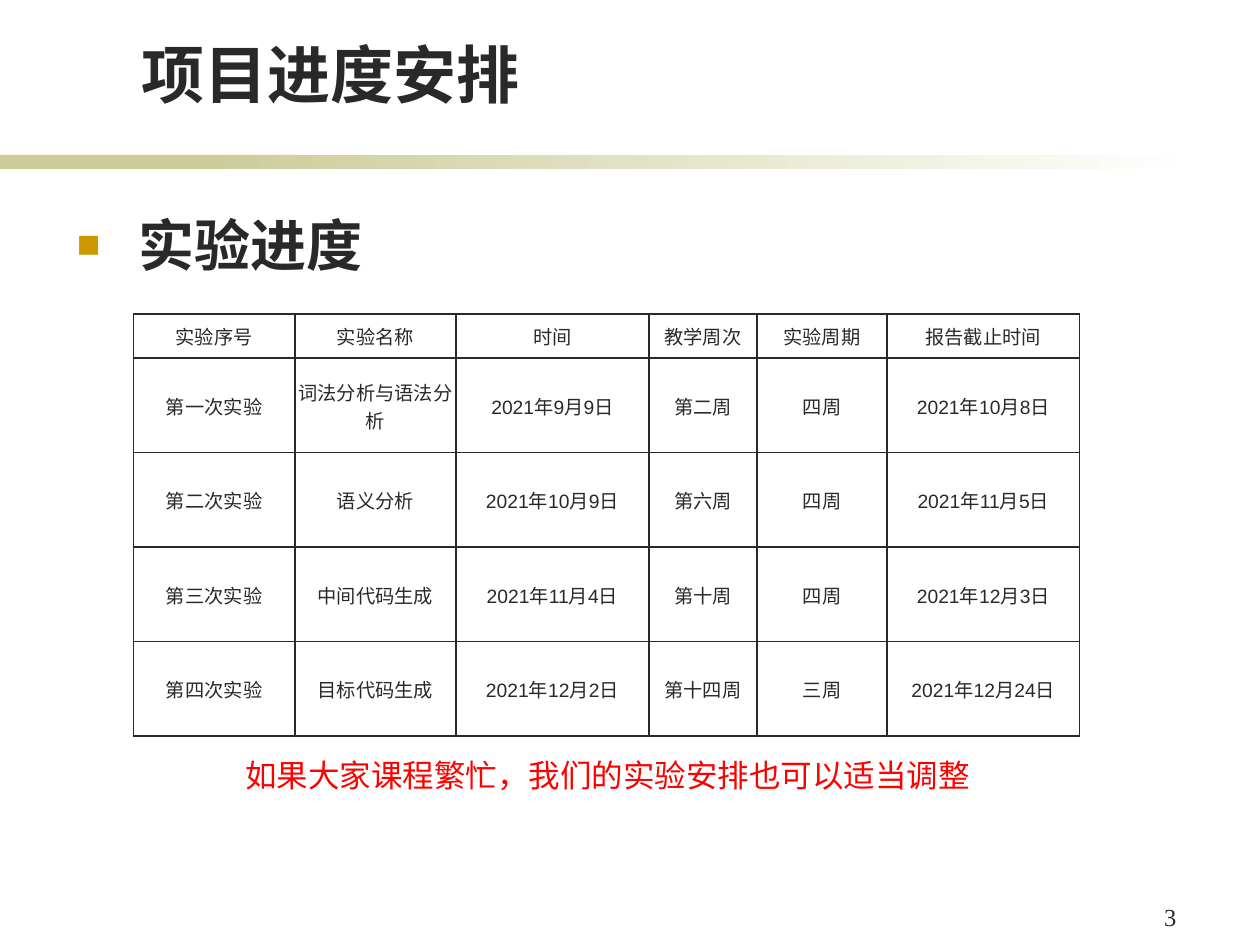
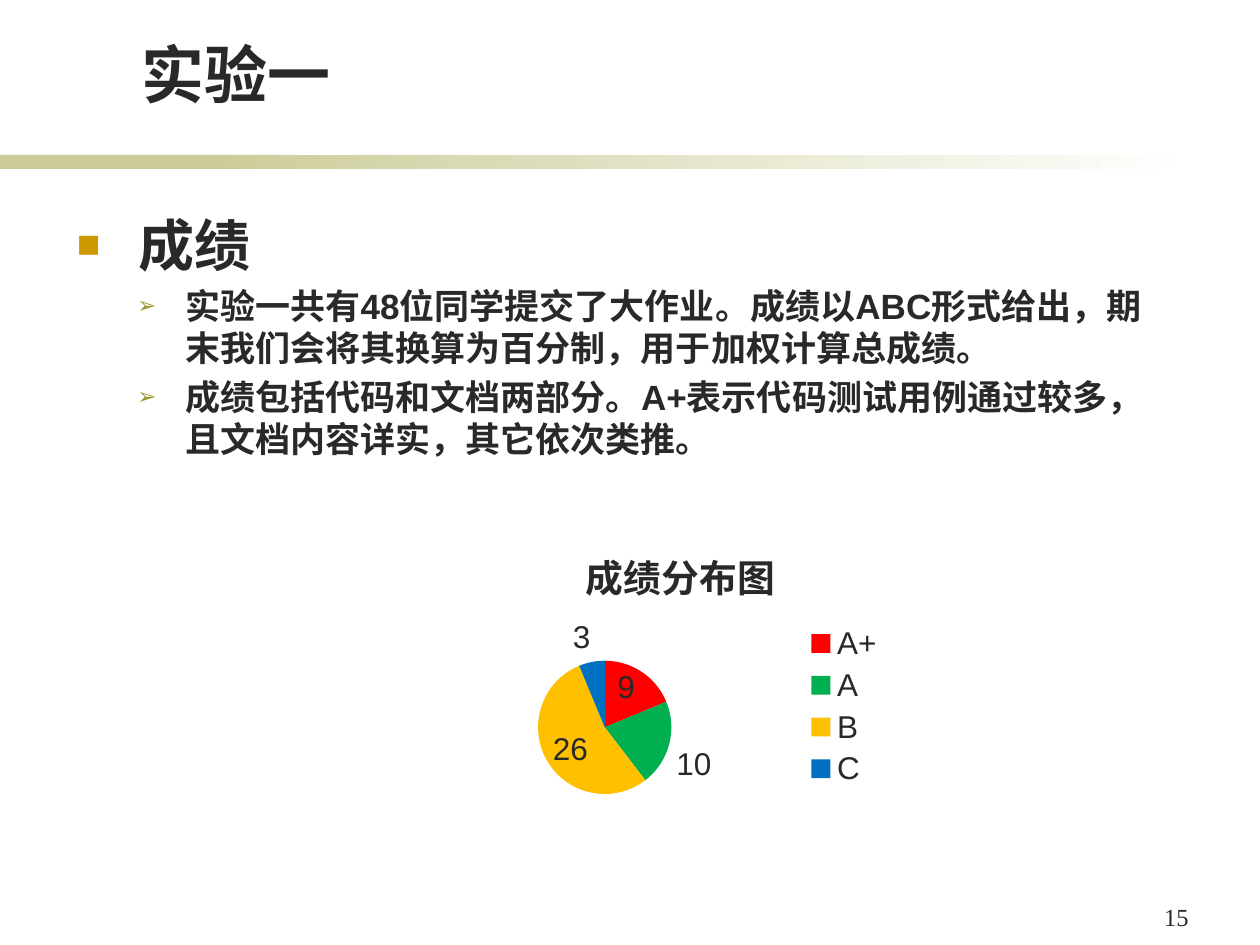
from dataclasses import dataclass
from lxml.etree import SubElement
from pptx import Presentation
from pptx.chart.data import CategoryChartData
from pptx.dml.color import RGBColor
from pptx.enum.chart import XL_CHART_TYPE as ChartType, XL_LABEL_POSITION as LabelPosition
from pptx.enum.chart import XL_LEGEND_POSITION as LegendPosition
from pptx.enum.shapes import MSO_SHAPE as Preset
from pptx.enum.text import MSO_ANCHOR as Anchor, MSO_AUTO_SIZE as AutoSize, PP_ALIGN as Align
from pptx.oxml import parse_xml
from pptx.oxml.ns import nsdecls, qn
from pptx.util import Inches, Pt


@dataclass(frozen=True)
class Theme:
    ink: str = "292929"
    band: str = "CCCC99"
    paper: str = "FFFFFF"
    square: str = "CC9900"
    arrow: str = "999933"
    alert: str = "FF0000"
    grades: tuple = ("FF0000", "00B050", "FFC000", "0070C0")
    font: str = "Arial"
    number_font: str = "Times New Roman"
    title_size: float = 36
    heading_size: float = 32
    point_size: float = 20
    note_size: float = 18
    number_size: float = 14
    table_size: float = 11
    chart_size: float = 18
    chart_title_size: float = 21.6


theme = Theme()


def add_run(para, words, size, color=theme.ink, bold=False, font=theme.font):
    span = para.add_run()
    span.text = words
    span.font.name = font
    span.font.size = Pt(size)
    span.font.bold = bold
    span.font.color.rgb = RGBColor.from_string(color)


def place(element, index, **fractions):
    for old in element.findall(qn("c:layout")):
        element.remove(old)
    layout = parse_xml(f"<c:layout {nsdecls('c')}/>")
    manual = SubElement(layout, qn("c:manualLayout"))
    if "w" in fractions:
        SubElement(manual, qn("c:layoutTarget")).set("val", "inner")
    for axis in "xy":
        SubElement(manual, qn(f"c:{axis}Mode")).set("val", "edge")
    for key, value in fractions.items():
        SubElement(manual, qn(f"c:{key}")).set("val", str(value))
    element.insert(index, layout)


deck = Presentation()
deck.slide_width, deck.slide_height = Inches(10), Inches(7.5)

bullets = [
    (0.49, -0.49, "■", theme.square, 70, theme.heading_size),
    (0.86, -0.38, "➢", theme.arrow, 65, theme.point_size),
]
pages = [
    ("项目进度安排", "3", 4.8, [(0, "实验进度")]),
    ("实验一", "15", 5.06, [
        (0, "成绩"),
        (1, "实验一共有48位同学提交了大作业。成绩以ABC形式给出，期末我们会将其换算为百分制，用于加权计算总成绩。"),
        (1, "成绩包括代码和文档两部分。A+表示代码测试用例通过较多，且文档内容详实，其它依次类推。"),
    ]),
]

for title_words, number, body_height, points in pages:
    page = deck.slides.add_slide(deck.slide_layouts[1])

    for left, width, fades in ((0, 2.33, False), (1.58, 7.92, True)):
        band = page.shapes.add_shape(
            Preset.RECTANGLE, Inches(left), Inches(1.23), Inches(width), Inches(0.11))
        band.shadow.inherit = False
        band.line.fill.background()
        if fades:
            band.fill.gradient()
            band.fill.gradient_angle = 0
            for stop, color in zip(band.fill.gradient_stops, (theme.band, theme.paper)):
                stop.color.rgb = RGBColor.from_string(color)
        else:
            band.fill.solid()
            band.fill.fore_color.rgb = RGBColor.from_string(theme.band)

    title = page.shapes.title
    title.left, title.top, title.width, title.height = map(Inches, (1.02, 0.23, 7.34, 0.7))
    title.text_frame.auto_size = AutoSize.NONE
    title.text_frame.vertical_anchor = Anchor.BOTTOM
    para = title.text_frame.paragraphs[0]
    para.alignment = Align.LEFT
    add_run(para, title_words, theme.title_size, bold=True)

    body = page.placeholders[1]
    body.left, body.top, body.width, body.height = map(Inches, (0.51, 1.62, 8.9, body_height))
    frame = body.text_frame
    frame.auto_size = AutoSize.NONE
    for index, (level, words) in enumerate(points):
        para = frame.add_paragraph() if index else frame.paragraphs[0]
        para.level = level
        margin, indent, sign, color, percent, size = bullets[level]
        props = para._p.get_or_add_pPr()
        props.set("marL", str(Inches(margin)))
        props.set("indent", str(Inches(indent)))
        SubElement(SubElement(props, qn("a:buClr")), qn("a:srgbClr")).set("val", color)
        SubElement(props, qn("a:buSzPct")).set("val", str(percent * 1000))
        SubElement(props, qn("a:buFont")).set("typeface", theme.font)
        SubElement(props, qn("a:buChar")).set("char", sign)
        add_run(para, words, size, bold=True)

    box = page.shapes.add_textbox(Inches(9.14), Inches(7.11), Inches(0.47), Inches(0.34))
    box.text_frame.word_wrap = True
    add_run(box.text_frame.paragraphs[0], number, theme.number_size, font=theme.number_font)

schedule_page, grades_page = deck.slides

schedule = [
    ("实验序号", "实验名称", "时间", "教学周次", "实验周期", "报告截止时间"),
    ("第一次实验", "词法分析与语法分析", "2021年9月9日", "第二周", "四周", "2021年10月8日"),
    ("第二次实验", "语义分析", "2021年10月9日", "第六周", "四周", "2021年11月5日"),
    ("第三次实验", "中间代码生成", "2021年11月4日", "第十周", "四周", "2021年12月3日"),
    ("第四次实验", "目标代码生成", "2021年12月2日", "第十四周", "三周", "2021年12月24日"),
]
widths = (1.28, 1.28, 1.53, 0.86, 1.03, 1.53)
table = schedule_page.shapes.add_table(
    len(schedule), len(widths), Inches(1.06), Inches(2.49), Inches(7.5), Inches(3.35)).table
table.first_row = table.horz_banding = False
for column, width in zip(table.columns, widths):
    column.width = Inches(width)
for row_index, (row, entries) in enumerate(zip(table.rows, schedule)):
    row.height = Inches(0.75 if row_index else 0.35)
    for cell, words in zip(row.cells, entries):
        cell.fill.background()
        cell.vertical_anchor = Anchor.MIDDLE
        cell.margin_left = cell.margin_right = cell.margin_top = Inches(0.01)
        cell.margin_bottom = 0
        para = cell.text_frame.paragraphs[0]
        para.alignment = Align.CENTER
        add_run(para, words, theme.table_size)
        for order, side in enumerate("LRTB"):
            cell._tc.get_or_add_tcPr().insert(order, parse_xml(
                f'<a:ln{side} {nsdecls("a")} w="{Pt(1)}"><a:solidFill>'
                f'<a:srgbClr val="{theme.ink}"/></a:solidFill></a:ln{side}>'))

note = schedule_page.shapes.add_textbox(Inches(1.85), Inches(5.95), Inches(6.14), Inches(0.4))
note.text_frame.word_wrap = True
add_run(note.text_frame.paragraphs[0], "如果大家课程繁忙，我们的实验安排也可以适当调整",
        theme.note_size, theme.alert)

data = CategoryChartData()
data.categories = ["A+", "A", "B", "C"]
data.add_series("Series 1", (9, 10, 26, 3))
chart = grades_page.shapes.add_chart(
    ChartType.PIE, Inches(2.87), Inches(4.06), Inches(4.65), Inches(2.52), data).chart
chart.font.name = theme.font
chart.font.size = Pt(theme.chart_size)
chart.font.color.rgb = RGBColor.from_string(theme.ink)
chart.has_title = True
add_run(chart.chart_title.text_frame.paragraphs[0], "成绩分布图", theme.chart_title_size, bold=True)
chart.has_legend = True
chart.legend.position = LegendPosition.RIGHT
chart.legend.include_in_layout = False

plot = chart.plots[0]
plot.vary_by_categories = True
plot.has_data_labels = True
plot.data_labels.show_value = True
plot.data_labels.show_percentage = False
plot.data_labels.position = LabelPosition.BEST_FIT
for index, color in enumerate(theme.grades):
    fill = plot.series[0].points[index].format.fill
    fill.solid()
    fill.fore_color.rgb = RGBColor.from_string(color)

place(chart.chart_title._element, 1, x=0.37, y=0.08)
place(chart.legend._element, 1, x=0.75, y=0.34)
place(chart._chartSpace.chart.plotArea, 0, x=0.3, y=0.47, w=0.23, h=0.42)

deck.save("out.pptx")
